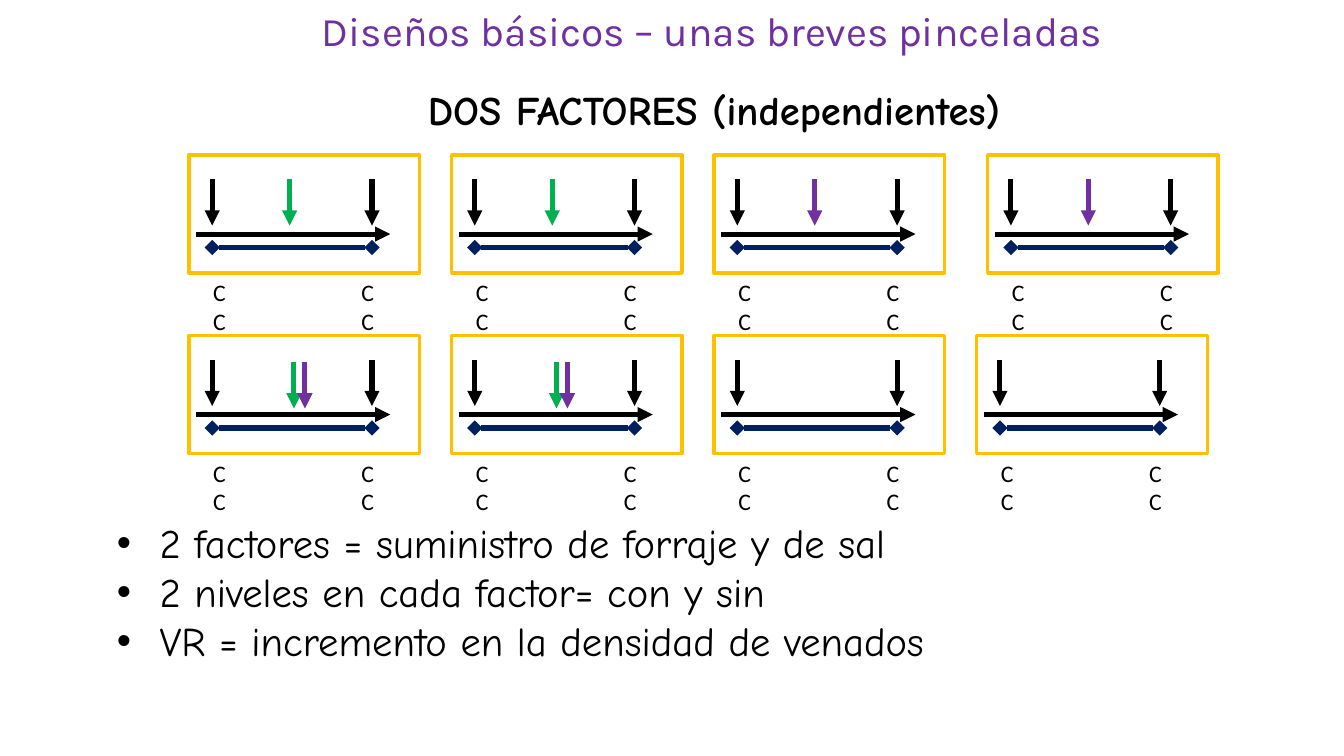
import dataclasses
import itertools

import pptx
import pptx.dml.color
import pptx.enum.shapes
import pptx.enum.text
import pptx.oxml
import pptx.oxml.ns
import pptx.util
from lxml import etree


@dataclasses.dataclass(frozen=True)
class Theme:
    ink: str = "000000"
    forage: str = "00B050"
    salt: str = "7030A0"
    span: str = "002060"
    frame: str = "FFC000"
    title_font: str = "Karla"
    body_font: str = "Comic Neue"
    label_font: str = "Calibri"
    large: int = 24
    small: int = 14
    stroke: float = 3
    border: float = 2


class Sheet:
    """Draws themed elements on one slide, in grid units of a tenth of an inch."""

    def __init__(self, prs, theme):
        self.theme = theme
        self.s = prs.slides.add_slide(prs.slide_layouts[5])
        self.shapes = self.s.shapes

    def units(self, *lengths):
        return [pptx.util.Inches(n / 10) for n in lengths]

    def color(self, value):
        return pptx.dml.color.RGBColor.from_string(value)

    def fill_text(self, sp, lines, font, size, color, bold=False, wrap=False, bullet=False):
        tf = sp.text_frame
        frame_format = {
            "word_wrap": wrap,
            "auto_size": pptx.enum.text.MSO_AUTO_SIZE.NONE,
            "vertical_anchor": pptx.enum.text.MSO_ANCHOR.TOP,
        }
        for name, value in frame_format.items():
            setattr(tf, name, value)
        for i, line in enumerate(lines):
            p = tf.add_paragraph() if i else tf.paragraphs[0]
            p.alignment = pptx.enum.text.PP_ALIGN.LEFT
            if bullet:
                self.add_bullet(p, color)
            r = p.add_run()
            r.text = line
            run_format = {"name": font, "size": pptx.util.Pt(size), "bold": bold}
            for name, value in run_format.items():
                setattr(r.font, name, value)
            r.font.color.rgb = self.color(color)

    def add_bullet(self, p, color):
        pPr = p._p.get_or_add_pPr()
        indent = pptx.util.Inches(0.35)
        pPr.set("marL", str(indent))
        pPr.set("indent", str(-indent))
        qn = pptx.oxml.ns.qn
        clr = etree.SubElement(pPr, qn("a:buClr"))
        etree.SubElement(clr, qn("a:srgbClr"), val=color)
        etree.SubElement(pPr, qn("a:buFont"), typeface="Arial")
        etree.SubElement(pPr, qn("a:buChar"), char="•")

    def title(self, box, text):
        sp = self.shapes.title
        for name, value in zip(("left", "top", "width", "height"), self.units(*box)):
            setattr(sp, name, value)
        t = self.theme
        self.fill_text(sp, [text], t.title_font, t.large, t.salt)

    def text(self, box, lines, font, size, **style):
        sp = self.shapes.add_textbox(*self.units(*box))
        self.fill_text(sp, lines, font, size, self.theme.ink, **style)

    def rect(self, box):
        sp = self.shapes.add_shape(pptx.enum.shapes.MSO_SHAPE.RECTANGLE, *self.units(*box))
        sp.shadow.inherit = False
        sp.fill.background()
        sp.line.color.rgb = self.color(self.theme.frame)
        sp.line.width = pptx.util.Pt(self.theme.border)

    def line(self, x1, y1, x2, y2, color, tail="triangle", head="none"):
        c = self.shapes.add_connector(
            pptx.enum.shapes.MSO_CONNECTOR.STRAIGHT, *self.units(x1, y1, x2, y2))
        c.line.color.rgb = self.color(color)
        c.line.width = pptx.util.Pt(self.theme.stroke)
        qn = pptx.oxml.ns.qn
        spPr = c.element.spPr
        ln = spPr.find(qn("a:ln"))
        etree.SubElement(ln, qn("a:headEnd"), type=head)
        etree.SubElement(ln, qn("a:tailEnd"), type=tail)
        etree.SubElement(spPr, qn("a:effectLst"))

    def trial(self, x, y, treatments):
        t = self.theme
        self.shapes = self.s.shapes.add_group_shape().shapes
        first, last = x + 1.9, x + 15
        self.line(x + 0.6, y + 6.5, x + 16.5, y + 6.5, t.ink)
        for count in (first, last):
            self.line(count, y + 2, count, y + 5.8, t.ink)
        for dx, dy, color in treatments:
            self.line(x + dx, y + dy, x + dx, y + dy + 3.8, color)
        self.line(first, y + 7.6, last, y + 7.6, t.span, tail="diamond", head="diamond")
        self.rect((x, y, 18.9, 9.7))
        for dx in (1, 13.15):
            self.text((x + dx, y + 9.6, 3, 5.7), ["C", "C"], t.label_font, t.small)
        self.shapes = self.s.shapes


def main():
    prs = pptx.Presentation()
    prs.slide_width = pptx.util.Inches(11.02)
    prs.slide_height = pptx.util.Inches(6.2)
    t = Theme()
    sheet = Sheet(prs, t)
    sheet.title((25.4, 0, 66.8, 5), "Diseños básicos – unas breves pinceladas")
    sheet.text((34.1, 6.5, 49.5, 5), ["DOS FACTORES (independientes)"],
               t.body_font, t.large, bold=True)

    forage = [(8.25, 2, t.forage)]
    salt = [(8.25, 2, t.salt)]
    both = [(8.6, 2.2, t.forage), (9.5, 2.2, t.salt)]
    design = [[forage, forage, salt, salt], [both, both, [], []]]
    for row, col in itertools.product(range(2), range(4)):
        shift = 0.9 if (row, col) == (0, 3) else 0
        sheet.trial(15.5 + 21.53 * col + shift, 12.7 + 14.8 * row, design[row][col])

    sheet.text((8.6, 42, 97.3, 13), [
        "2 factores = suministro de forraje y de sal",
        "2 niveles en cada factor= con y sin",
        "VR = incremento en la densidad de venados",
    ], t.body_font, t.large, wrap=True, bullet=True)
    prs.save("out.pptx")


if __name__ == "__main__":
    main()
